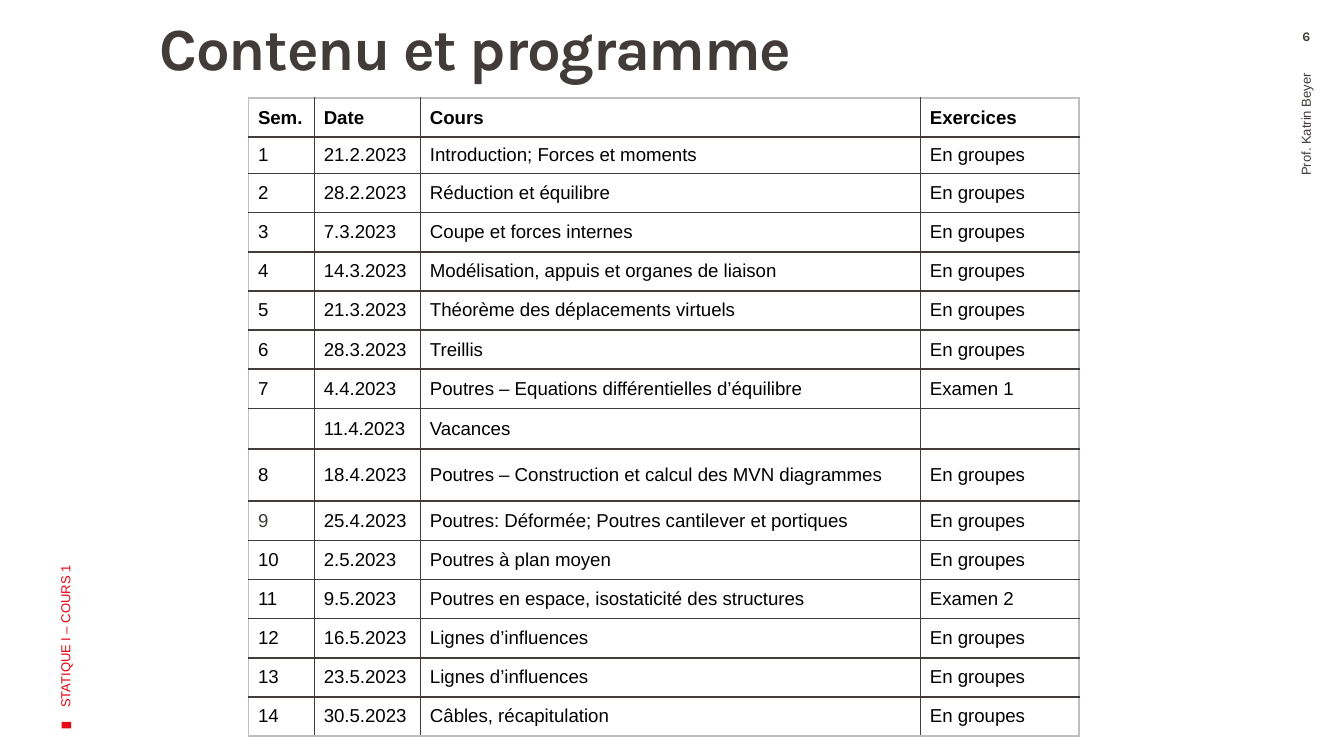
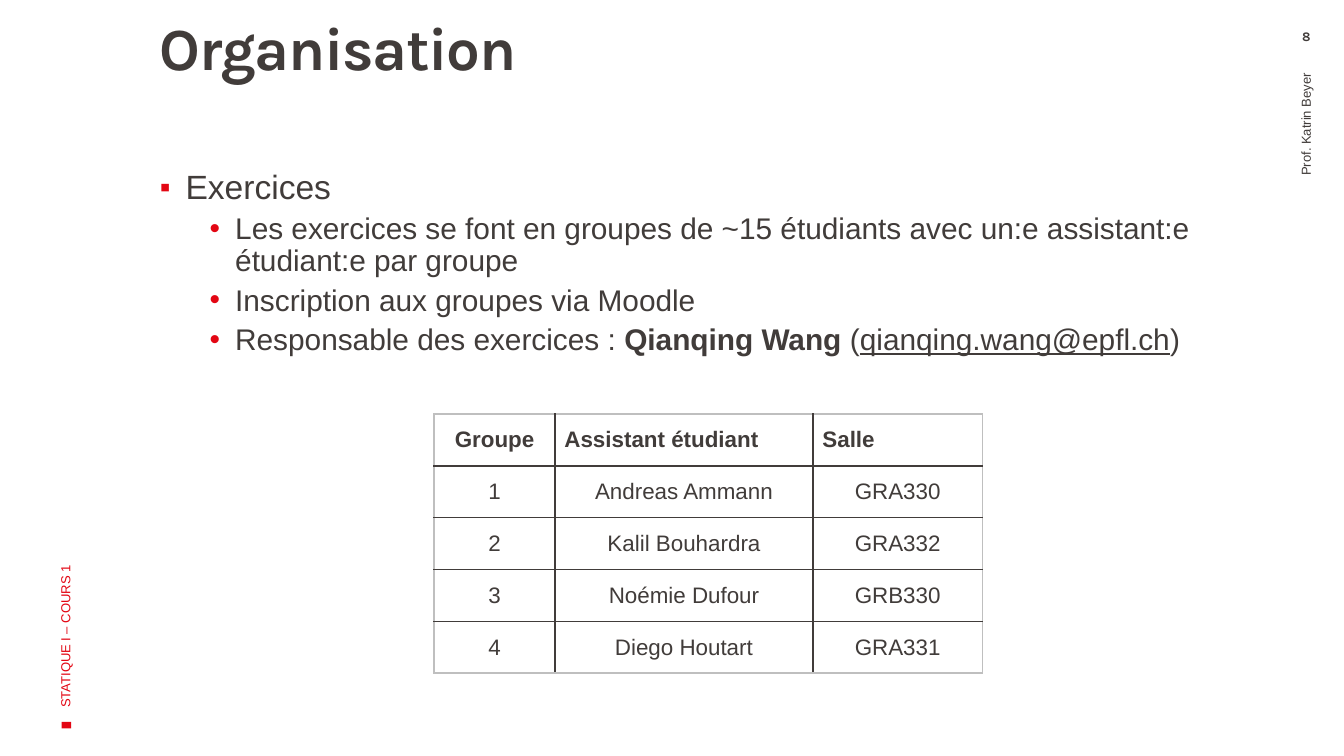
import pptx
import pptx.dml.color
import pptx.enum.shapes
import pptx.enum.text
import pptx.oxml.ns
import pptx.util
from lxml import etree

Inches, Pt = pptx.util.Inches, pptx.util.Pt
ALIGN = pptx.enum.text.PP_ALIGN
MIDDLE = pptx.enum.text.MSO_ANCHOR.MIDDLE

COLOURS = {"ink": "413C3A", "red": "E30613", "black": "000000", "edge": "BFBFBF"}
BODY_FONT, TITLE_FONT = "Arial", "Karla"
COURSE = "STATIQUE I – COURS 1"
LECTURER = "Prof. Katrin Beyer"

GROUPS = "En groupes"
PROGRAMME = [
    ("Sem.", "Date", "Cours", "Exercices"),
    ("1", "21.2.2023", "Introduction; Forces et moments", GROUPS),
    ("2", "28.2.2023", "Réduction et équilibre", GROUPS),
    ("3", "7.3.2023", "Coupe et forces internes", GROUPS),
    ("4", "14.3.2023", "Modélisation, appuis et organes de liaison", GROUPS),
    ("5", "21.3.2023", "Théorème des déplacements virtuels", GROUPS),
    ("6", "28.3.2023", "Treillis", GROUPS),
    ("7", "4.4.2023", "Poutres – Equations différentielles d’équilibre", "Examen 1"),
    ("", "11.4.2023", "Vacances", ""),
    ("8", "18.4.2023", "Poutres – Construction et calcul des MVN diagrammes", GROUPS),
    ("9", "25.4.2023", "Poutres: Déformée; Poutres cantilever et portiques", GROUPS),
    ("10", "2.5.2023", "Poutres à plan moyen", GROUPS),
    ("11", "9.5.2023", "Poutres en espace, isostaticité des structures", "Examen 2"),
    ("12", "16.5.2023", "Lignes d’influences", GROUPS),
    ("13", "23.5.2023", "Lignes d’influences", GROUPS),
    ("14", "30.5.2023", "Câbles, récapitulation", GROUPS),
]
ASSISTANTS = [
    ("Groupe", "Assistant étudiant", "Salle"),
    ("1", "Andreas Ammann", "GRA330"),
    ("2", "Kalil Bouhardra", "GRA332"),
    ("3", "Noémie Dufour", "GRB330"),
    ("4", "Diego Houtart", "GRA331"),
]
# Each point: level, then runs of (text, style)
EXERCISES = [
    (0, [("Exercices", "")]),
    (1, [("Les exercices se font en groupes de ~15 étudiants avec un:e assistant:e "
          "étudiant:e par groupe", "")]),
    (1, [("Inscription aux groupes via Moodle", "")]),
    (1, [("Responsable des exercices : ", ""), ("Qianqing Wang ", "bold"), ("(", ""),
         ("qianqing.wang@epfl.ch", "underline"), (")", "")]),
]
LEVELS = [
    {"size": 18, "bullet": "▪", "bullet_size": 90, "left": 0.19, "before": 0},
    {"size": 16, "bullet": "•", "bullet_size": 100, "left": 0.56, "before": 3.8},
]
HANGING = 0.19


def rgb(name):
    return pptx.dml.color.RGBColor.from_string(COLOURS[name])


def add_xml(parent, tag, **attributes):
    return etree.SubElement(parent, pptx.oxml.ns.qn(tag), **attributes)


def style_run(run, size, colour="ink", font=BODY_FONT, bold=False):
    run.font.size = Pt(size)
    run.font.name = font
    run.font.bold = bold
    run.font.color.rgb = rgb(colour)


def add_frame(slide, at, insets, rotation=0):
    box = slide.shapes.add_textbox(*map(Inches, at))
    box.rotation = rotation
    frame = box.text_frame
    frame.word_wrap = True
    (frame.margin_left, frame.margin_top,
     frame.margin_right, frame.margin_bottom) = map(Inches, insets)
    return frame


def add_line(slide, text, at, insets, size, align=ALIGN.LEFT, rotation=0, **style):
    frame = add_frame(slide, at, insets, rotation)
    frame.text = text
    if rotation:
        frame.vertical_anchor = MIDDLE
    paragraph = frame.paragraphs[0]
    paragraph.alignment = align
    style_run(paragraph.runs[0], size, **style)
    return paragraph


def add_slide(deck, title, number):
    """Add a slide with the title, side labels and page number all slides share."""
    slide = deck.slides.add_slide(deck.slide_layouts[6])
    marker = slide.shapes.add_shape(pptx.enum.shapes.MSO_SHAPE.RECTANGLE,
                                    *map(Inches, (0.47, 5.36, 0.05, 0.07)))
    marker.rotation = 270
    marker.shadow.inherit = False
    marker.fill.solid()
    marker.fill.fore_color.rgb = rgb("red")
    marker.line.fill.background()

    heading = add_line(slide, title, (0.99, 0.14, 7.67, 1.17), (0.2, 0, 0.08, 0.05),
                       32, font=TITLE_FONT, bold=True)
    heading.line_spacing = 0.9
    heading.runs[0].font._element.set("spc", "-70")
    add_line(slide, COURSE, (-1.34, 3.04, 3.65, 1), (0.1, 0.05, 0.1, 0.05), 7,
             rotation=270, colour="red")
    add_line(slide, LECTURER, (7.78, 2.05, 3.87, 0.56), (0.1, 0.05, 0.15, 0.05), 7,
             align=ALIGN.RIGHT, rotation=270)
    add_line(slide, str(number), (9.44, 0.21, 0.56, 0.18), (0.1, 0, 0.1, 0), 7,
             align=ALIGN.CENTER, font=TITLE_FONT, bold=True)
    return slide


def add_points(slide, points, at):
    frame = add_frame(slide, at, (0.2, 0.05, 0.1, 0.05))
    for index, (level, runs) in enumerate(points):
        look = LEVELS[level]
        paragraph = frame.add_paragraph() if index else frame.paragraphs[0]
        paragraph.level = level
        properties = paragraph._p.get_or_add_pPr()
        properties.set("marL", str(Inches(look["left"])))
        properties.set("indent", str(-Inches(HANGING)))
        add_xml(add_xml(properties, "a:buClr"), "a:srgbClr", val=COLOURS["red"])
        add_xml(properties, "a:buSzPct", val=str(look["bullet_size"] * 1000))
        add_xml(properties, "a:buFont", typeface=BODY_FONT)
        add_xml(properties, "a:buChar", char=look["bullet"])
        paragraph.line_spacing = 0.9
        paragraph.space_before = Pt(look["before"])
        for text, style in runs:
            run = paragraph.add_run()
            run.text = text
            style_run(run, look["size"], bold=style == "bold")
            run.font.underline = style == "underline"


def set_borders(cell, outer):
    """Draw the four borders, paler on the sides named in outer."""
    properties = cell._tc.get_or_add_tcPr()
    for side in "LRTB":
        line = add_xml(properties, f"a:ln{side}", w=str(Pt(1)))
        colour = COLOURS["edge" if side in outer else "ink"]
        add_xml(add_xml(line, "a:solidFill"), "a:srgbClr", val=colour)


def add_grid(slide, rows, at, widths, special_heights, size, colour, align):
    """Add a table; rows not in special_heights share the remaining height."""
    height = at[3]
    even = (height - sum(special_heights.values())) / (len(rows) - len(special_heights))
    table = slide.shapes.add_table(len(rows), len(widths), *map(Inches, at)).table
    table.first_row = table.horz_banding = False
    for column, width in zip(table.columns, widths):
        column.width = Inches(width)
    for r, row in enumerate(rows):
        table.rows[r].height = Inches(special_heights.get(r, even))
        for c, text in enumerate(row):
            cell = table.cell(r, c)
            cell.margin_left = cell.margin_right = Inches(0.07)
            cell.margin_top = cell.margin_bottom = 0
            cell.vertical_anchor = MIDDLE
            edges = {"L": c == 0, "R": c == len(row) - 1,
                     "T": r == 0, "B": r == len(rows) - 1}
            set_borders(cell, [side for side, outside in edges.items() if outside])
            cell.fill.background()
            cell.text = text
            paragraph = cell.text_frame.paragraphs[0]
            paragraph.alignment = ALIGN.LEFT if r == 0 and c else align
            for run in paragraph.runs:
                style_run(run, size, colour, bold=r == 0)
    return table


def main():
    deck = pptx.Presentation()
    deck.slide_width = Inches(10)
    deck.slide_height = deck.slide_width * 9 // 16

    programme = add_slide(deck, "Contenu et programme", 6)
    weeks = add_grid(programme, PROGRAMME, (1.85, 0.73, 6.18, 4.74),
                     (0.49, 0.79, 3.72, 1.18), {1: 0.27, 9: 0.39},
                     10, "black", ALIGN.LEFT)
    week_nine = weeks.cell(10, 0).text_frame.paragraphs[0].runs[0]
    week_nine.font.color.rgb = rgb("ink")

    organisation = add_slide(deck, "Organisation", 8)
    add_points(organisation, EXERCISES, (0.99, 1.22, 8.45, 3.7))
    add_grid(organisation, ASSISTANTS, (3.23, 3.08, 4.08, 1.93),
             (0.9, 1.92, 1.26), {}, 12, "ink", ALIGN.CENTER)

    deck.save("out.pptx")


if __name__ == "__main__":
    main()
